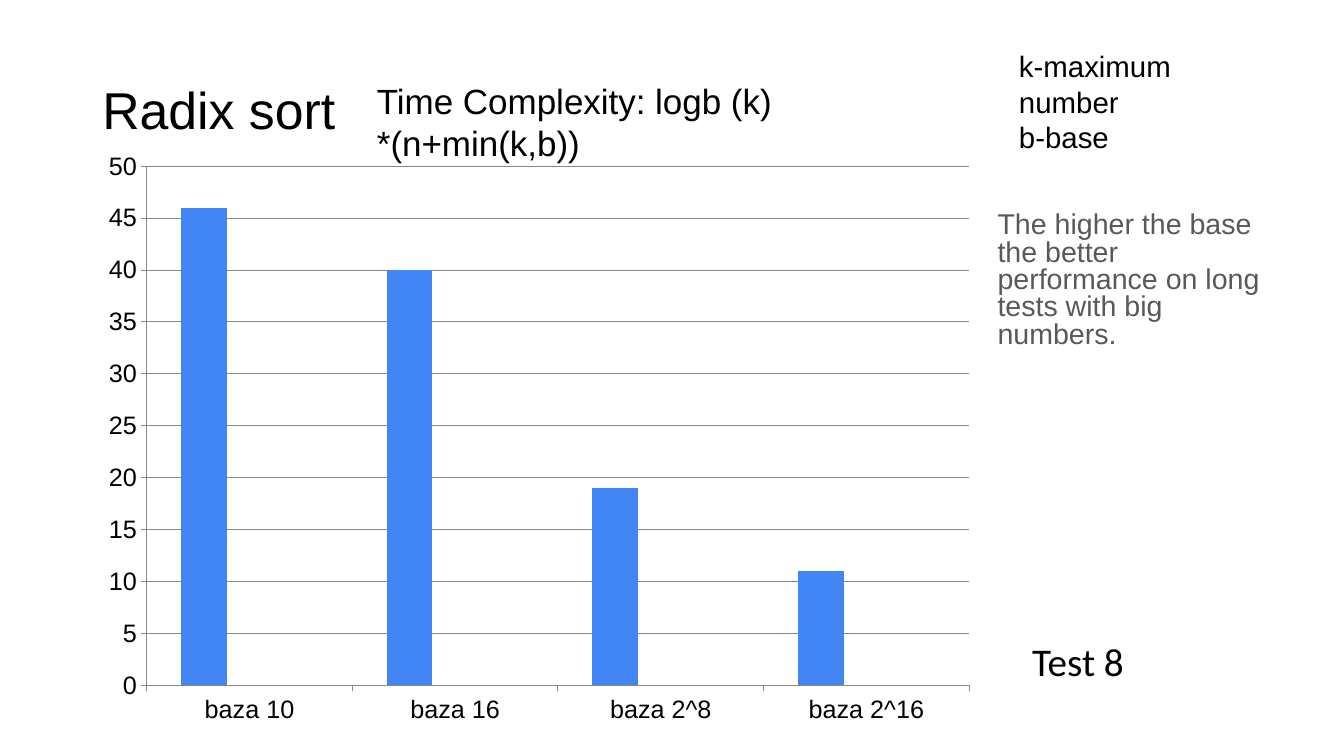
from dataclasses import dataclass

from lxml import etree
from pptx import Presentation
from pptx.chart.data import CategoryChartData
from pptx.dml.color import RGBColor
from pptx.enum.chart import XL_CHART_TYPE, XL_TICK_MARK
from pptx.enum.text import MSO_ANCHOR
from pptx.util import Cm, Pt

COLUMN = XL_CHART_TYPE.COLUMN_CLUSTERED
OUTSIDE = XL_TICK_MARK.OUTSIDE
TOP, MIDDLE = MSO_ANCHOR.TOP, MSO_ANCHOR.MIDDLE
CHART_NS = "http://schemas.openxmlformats.org/drawingml/2006/chart"


@dataclass(frozen=True)
class Theme:
    font: str = "Arial"
    label_font: str = "Calibri"
    ink: str = "000000"
    soft: str = "595959"
    grid: str = "878787"
    bars: tuple = ("4285F4", "212121", "78909C")
    title: float = 37
    label: float = 28
    formula: float = 25
    legend: float = 21
    body: float = 20.4
    axis: float = 18


THEME = Theme()
BASES = ("baza 10", "baza 16", "baza 2^8", "baza 2^16")
TIMES = (46, 40, 19, 11)
PLOT = {"x": 0.057, "y": 0.049, "w": 0.918, "h": 0.869}


def rgb(code):
    return RGBColor.from_string(code)


def add_text(slide, text, box, size, font=THEME.font, color=THEME.ink,
             anchor=TOP, inset=0.13, spacing=None):
    """Each line of text becomes a paragraph; box is in centimetres."""
    frame = slide.shapes.add_textbox(*map(Cm, box)).text_frame
    frame.word_wrap = True
    frame.vertical_anchor = anchor
    frame.margin_left = frame.margin_right = Cm(0.25)
    frame.margin_top = frame.margin_bottom = Cm(inset)
    frame.text = text
    for par in frame.paragraphs:
        par.line_spacing = spacing
        par.font.size = Pt(size)
        par.font.name = font
        par.font.color.rgb = rgb(color)


def place_plot(chart):
    """Fix the inner plot area as fractions of the chart."""
    area = chart._chartSpace.chart.plotArea
    for old in area.findall(f"{{{CHART_NS}}}layout"):
        area.remove(old)
    layout = etree.Element(f"{{{CHART_NS}}}layout")
    area.insert(0, layout)
    manual = etree.SubElement(layout, f"{{{CHART_NS}}}manualLayout")
    parts = {"layoutTarget": "inner", "xMode": "edge", "yMode": "edge", **PLOT}
    for tag, val in parts.items():
        etree.SubElement(manual, f"{{{CHART_NS}}}{tag}", val=str(val))


def style_axis(axis):
    axis.major_tick_mark = OUTSIDE
    axis.format.line.color.rgb = rgb(THEME.grid)
    axis.format.line.width = Pt(0.75)


def add_bars(slide, box):
    data = CategoryChartData()
    data.categories = BASES
    blank = (None,) * len(BASES)
    for num, times in enumerate((TIMES, blank, blank), 1):
        data.add_series(f"Series {num}", times)
    chart = slide.shapes.add_chart(COLUMN, *map(Cm, box), data).chart
    chart.has_title = chart.has_legend = False
    chart.font.name = THEME.font
    chart.font.size = Pt(THEME.axis)
    chart.font.color.rgb = rgb(THEME.ink)

    plot = chart.plots[0]
    plot.gap_width, plot.overlap = 150, 0
    plot.vary_by_categories = False
    for bar, color in zip(plot.series, THEME.bars):
        bar.format.fill.solid()
        bar.format.fill.fore_color.rgb = rgb(color)

    style_axis(chart.category_axis)
    scale = chart.value_axis
    style_axis(scale)
    scale.minimum_scale, scale.maximum_scale, scale.major_unit = 0, 50, 5
    scale.has_major_gridlines = True
    grid = scale.major_gridlines.format.line
    grid.color.rgb = rgb(THEME.grid)
    grid.width = Pt(0.75)
    place_plot(chart)


def main():
    deck = Presentation()
    deck.slide_width, deck.slide_height = Cm(33.87), Cm(19.05)
    slide = deck.slides.add_slide(deck.slide_layouts[6])

    add_text(slide, "Radix sort", (2.33, 1.01, 29.21, 3.68), THEME.title,
             anchor=MIDDLE, spacing=0.9)
    add_text(slide, "The higher the base the better performance on long "
             "tests with big numbers.", (24.89, 5.23, 7.77, 4.01),
             THEME.body, color=THEME.soft, spacing=0.8)
    add_bars(slide, (2.41, 3.45, 22.58, 15.06))
    add_text(slide, "Test 8", (25.76, 15.93, 6.02, 1.45), THEME.label,
             font=THEME.label_font)
    add_text(slide, "Time Complexity: logb (k) *(n+min(k,b))",
             (9.25, 1.75, 15.75, 2.64), THEME.formula, inset=0.25)
    add_text(slide, "k-maximum number\nb-base", (25.43, 0.97, 6.43, 3.81),
             THEME.legend, inset=0.25)
    deck.save("out.pptx")


if __name__ == "__main__":
    main()
